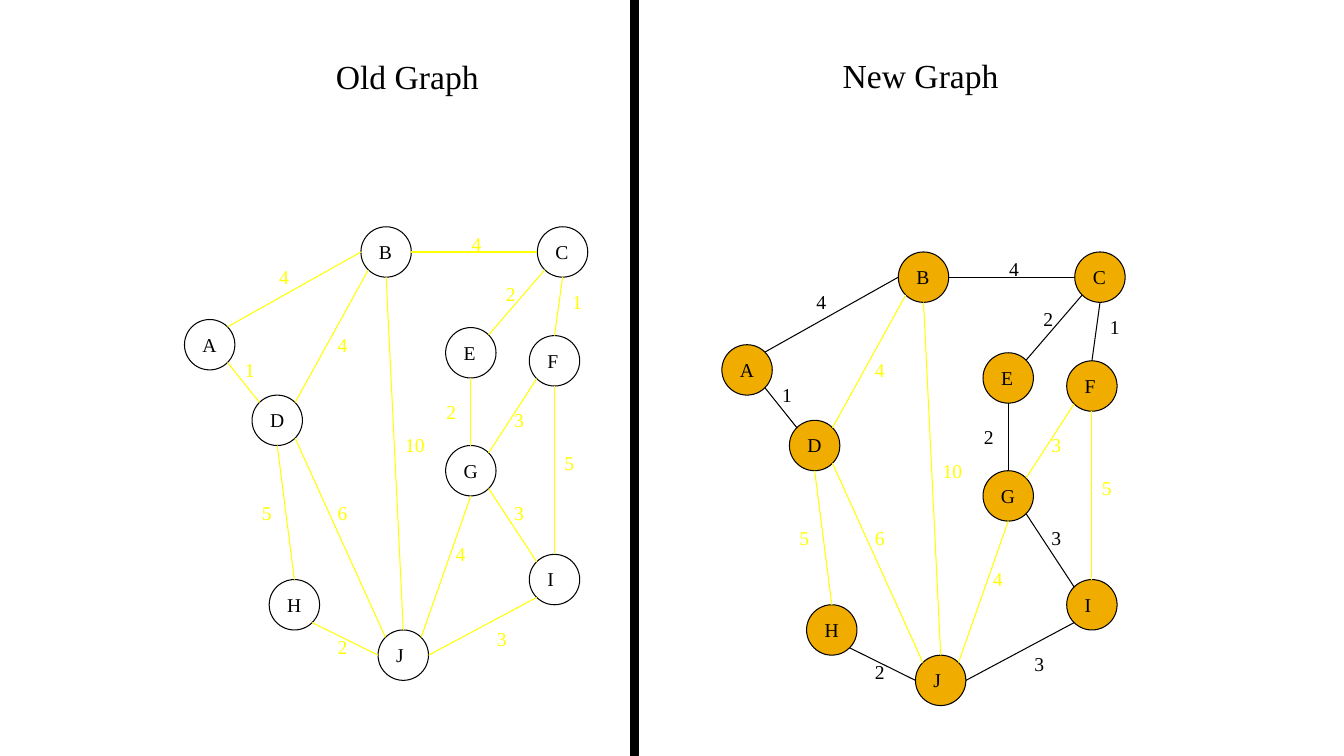
import math
from dataclasses import dataclass

import pptx
import pptx.dml.color
import pptx.enum.shapes
import pptx.enum.text
import pptx.oxml.ns
import pptx.shapes.base
import pptx.slide
import pptx.text.text
import pptx.util
from lxml import etree
from pptx.util import Inches

COLORS = {"ink": "000000", "dropped": "FFFF00", "visited": "F0AD00"}
FONT = "Times New Roman"
DIAMETER = 0.5
LETTER_OFFSET = 0.08
LABEL_HEIGHT = 0.33
LINE_WIDTH = 0.75
COMPASS = {"E": 0, "SE": 45, "S": 90, "SW": 135, "W": 180, "NW": 225, "N": 270, "NE": 315}


@dataclass(frozen=True)
class Node:
    left: float
    top: float
    letter_width: float


@dataclass(frozen=True)
class Edge:
    start: str
    start_side: str
    end: str
    end_side: str
    weight: int
    label_left: float
    label_top: float
    kept: bool


@dataclass(frozen=True)
class Graph:
    title: str
    title_left: float
    shift_x: float
    shift_y: float
    is_new: bool


NODES = {
    "A": Node(1.83, 3.17, 0.34),
    "B": Node(3.58, 2.25, 0.33),
    "C": Node(5.33, 2.25, 0.33),
    "D": Node(2.5, 3.92, 0.34),
    "E": Node(4.42, 3.25, 0.32),
    "F": Node(5.25, 3.33, 0.31),
    "G": Node(4.42, 4.42, 0.34),
    "H": Node(2.67, 5.75, 0.34),
    "I": Node(5.25, 5.5, 0.27),
    "J": Node(3.75, 6.25, 0.28),
}
EDGES = [
    Edge("A", "NE", "B", "W", 4, 2.67, 2.58, True),
    Edge("D", "NW", "A", "SE", 1, 2.33, 3.5, True),
    Edge("B", "E", "C", "W", 4, 4.58, 2.25, True),
    Edge("B", "SW", "D", "NE", 4, 3.25, 3.25, False),
    Edge("B", "S", "J", "N", 10, 3.92, 4.25, False),
    Edge("C", "SW", "E", "NE", 2, 4.92, 2.75, True),
    Edge("C", "S", "F", "N", 1, 5.58, 2.83, True),
    Edge("E", "S", "G", "N", 2, 4.33, 3.92, True),
    Edge("F", "SW", "G", "NE", 3, 5, 4, False),
    Edge("F", "S", "I", "N", 5, 5.5, 4.42, False),
    Edge("I", "NW", "G", "SE", 3, 5, 4.92, True),
    Edge("J", "E", "I", "SW", 3, 4.83, 6.17, True),
    Edge("J", "NE", "G", "S", 4, 4.42, 5.33, False),
    Edge("J", "W", "H", "SE", 2, 3.25, 6.25, True),
    Edge("D", "S", "H", "N", 5, 2.5, 4.92, False),
    Edge("D", "SE", "J", "NW", 6, 3.25, 4.92, False),
]
GRAPHS = [
    Graph("Old Graph", 2.58, 0, 0, False),
    Graph("New Graph", 7.67, 5.33, 0.25, True),
]


def rgb(name: str) -> pptx.dml.color.RGBColor:
    return pptx.dml.color.RGBColor.from_string(COLORS[name])


def add_run(paragraph: pptx.text.text._Paragraph, text: str, size: float, color: str) -> None:
    run = paragraph.add_run()
    run.text = text
    run.font.name = FONT
    run.font.size = pptx.util.Pt(size)
    run.font.color.rgb = rgb(color)


def add_label(slide: pptx.slide.Slide, text: str, left: float, top: float, width: float, color: str) -> None:
    shape = slide.shapes.add_textbox(Inches(left), Inches(top), Inches(width), Inches(LABEL_HEIGHT))
    shape.text_frame.word_wrap = False
    shape.text_frame.auto_size = pptx.enum.text.MSO_AUTO_SIZE.SHAPE_TO_FIT_TEXT
    add_run(shape.text_frame.paragraphs[0], text, 14, color)


def add_filled_shape(
    slide: pptx.slide.Slide, kind: pptx.enum.shapes.MSO_SHAPE,
    left: float, top: float, width: float, height: float, fill: str | None,
) -> None:
    shape = slide.shapes.add_shape(kind, Inches(left), Inches(top), Inches(width), Inches(height))
    shape.shadow.inherit = False
    shape.line.color.rgb = rgb("ink")
    shape.line.width = pptx.util.Pt(LINE_WIDTH)
    if fill is None:
        shape.fill.background()
    else:
        shape.fill.solid()
        shape.fill.fore_color.rgb = rgb(fill)


def format_title(shape: pptx.shapes.base.BaseShape, graph: Graph) -> None:
    shape.left, shape.top = Inches(graph.title_left), Inches(0.5)
    shape.width, shape.height = Inches(2.92), Inches(0.5)
    frame = shape.text_frame
    frame.word_wrap = True
    frame.auto_size = pptx.enum.text.MSO_AUTO_SIZE.SHAPE_TO_FIT_TEXT
    frame.vertical_anchor = pptx.enum.text.MSO_ANCHOR.TOP
    paragraph = frame.paragraphs[0]
    paragraph.alignment = pptx.enum.text.PP_ALIGN.CENTER
    add_run(paragraph, graph.title, 24, "ink")


def rim_point(graph: Graph, letter: str, side: str) -> tuple[float, float]:
    node = NODES[letter]
    radius = DIAMETER / 2
    angle = math.radians(COMPASS[side])
    return (
        node.left + graph.shift_x + radius * (1 + math.cos(angle)),
        node.top + graph.shift_y + radius * (1 + math.sin(angle)),
    )


def add_edge(slide: pptx.slide.Slide, graph: Graph, edge: Edge) -> None:
    color = "ink" if graph.is_new and edge.kept else "dropped"
    ends = rim_point(graph, edge.start, edge.start_side) + rim_point(graph, edge.end, edge.end_side)
    connector = slide.shapes.add_connector(
        pptx.enum.shapes.MSO_CONNECTOR.STRAIGHT, *(Inches(value) for value in ends)
    )
    connector.line.color.rgb = rgb(color)
    connector.line.width = pptx.util.Pt(LINE_WIDTH)
    etree.SubElement(connector.element.spPr, pptx.oxml.ns.qn("a:effectLst"))
    weight = str(edge.weight)
    add_label(
        slide, weight, edge.label_left + graph.shift_x, edge.label_top + graph.shift_y,
        0.2 + 0.1 * len(weight), color,
    )


def add_graph(slide: pptx.slide.Slide, graph: Graph) -> None:
    for letter, node in NODES.items():
        left, top = node.left + graph.shift_x, node.top + graph.shift_y
        add_filled_shape(
            slide, pptx.enum.shapes.MSO_SHAPE.OVAL, left, top, DIAMETER, DIAMETER,
            "visited" if graph.is_new else None,
        )
        add_label(slide, letter, left + LETTER_OFFSET, top + LETTER_OFFSET, node.letter_width, "ink")
    for edge in EDGES:
        add_edge(slide, graph, edge)


def main() -> None:
    presentation = pptx.Presentation()
    presentation.slide_width = Inches(13.33)
    presentation.slide_height = Inches(7.5)
    slide = presentation.slides.add_slide(presentation.slide_layouts[5])
    old_graph, new_graph = GRAPHS
    format_title(slide.shapes.title, old_graph)
    format_title(slide.shapes.add_textbox(0, 0, 0, 0), new_graph)
    add_filled_shape(slide, pptx.enum.shapes.MSO_SHAPE.RECTANGLE, 6.25, 0, 0.08, 7.5, "ink")
    for graph in GRAPHS:
        add_graph(slide, graph)
    presentation.save("out.pptx")


if __name__ == "__main__":
    main()
